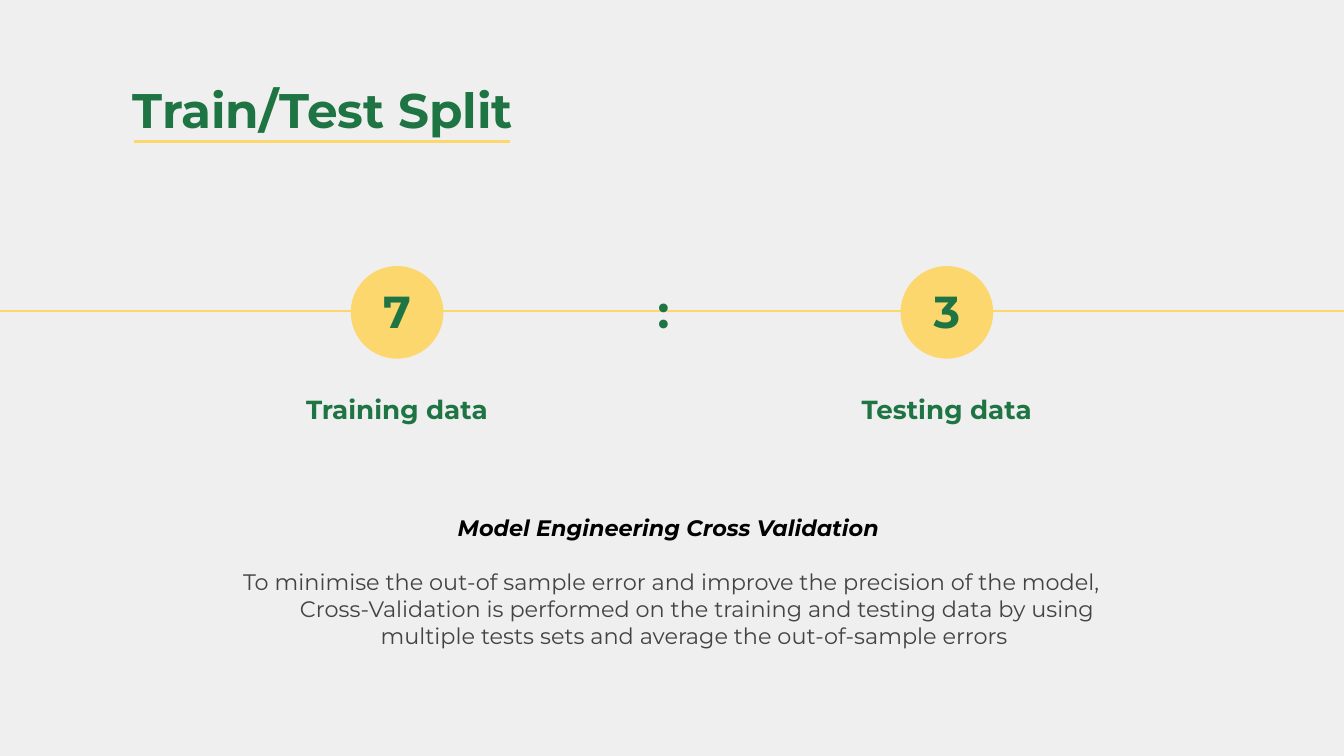
from collections import namedtuple

from lxml.etree import SubElement
from pptx import Presentation
from pptx.dml.color import RGBColor
from pptx.enum.shapes import MSO_CONNECTOR, MSO_SHAPE
from pptx.enum.text import MSO_ANCHOR, PP_ALIGN
from pptx.oxml.ns import qn
from pptx.util import Cm, Pt

GREEN = RGBColor(0x1F, 0x74, 0x44)
YELLOW = RGBColor(0xFB, 0xD7, 0x6D)
GREY = RGBColor(0x43, 0x43, 0x43)
BLACK = RGBColor(0, 0, 0)
BACKGROUND = RGBColor(0xEF, 0xEF, 0xEF)

Box = namedtuple("Box", "left top width height")

TITLE = {"size": Pt(26), "bold": True, "color": GREEN}
LABEL = {"size": Pt(14), "bold": True, "color": GREEN}
NUMBER = {"size": Pt(24), "bold": True, "color": GREEN}
HEADING = {"size": Pt(12), "bold": True, "italic": True, "color": BLACK}
BODY = {"size": Pt(12), "bold": False, "italic": False, "color": GREY}


def format_font(font, values):
    """Set the font attributes and colour from a dict."""
    font.name = "Montserrat"
    for name, value in values.items():
        if name == "color":
            font.color.rgb = value
        else:
            setattr(font, name, value)


def add_text(slide, box, lines, align=PP_ALIGN.CENTER, anchor=MSO_ANCHOR.TOP):
    """Add a text box with one paragraph for each (text, format) pair."""
    shape = slide.shapes.add_textbox(*map(Cm, box))
    frame = shape.text_frame
    frame.word_wrap = True
    frame.vertical_anchor = anchor
    for side in ("left", "top", "right", "bottom"):
        setattr(frame, f"margin_{side}", Cm(0.25))
    for index, (text, values) in enumerate(lines):
        paragraph = frame.add_paragraph() if index else frame.paragraphs[0]
        paragraph.alignment = align
        run = paragraph.add_run()
        run.text = text
        format_font(run.font, values)
    return frame


def add_line(slide, left, right, top):
    """Add a horizontal yellow line."""
    line = slide.shapes.add_connector(
        MSO_CONNECTOR.STRAIGHT, Cm(left), Cm(top), Cm(right), Cm(top)
    )
    line.line.color.rgb = YELLOW
    line.line.width = Pt(1.5)
    SubElement(line._element.spPr, qn("a:effectLst"))


def add_title(slide, box, text):
    """Place the title and its underline."""
    add_text(slide, box, [(text, TITLE)], PP_ALIGN.LEFT)
    add_line(slide, box.left + 0.28, box.left + 7.37, box.top + 1.4)


def add_number(slide, center, middle, text):
    """Place a large figure around a centre point."""
    width, height = 4.7, 1.4
    box = Box(center - width / 2, middle - height / 2, width, height)
    add_text(slide, box, [(text, NUMBER)], anchor=MSO_ANCHOR.MIDDLE)


def add_share(slide, box, number, label):
    """Place a numbered circle above its label."""
    diameter, label_height = 1.75, 1.6
    center = box.left + box.width / 2
    circle = slide.shapes.add_shape(
        MSO_SHAPE.OVAL, Cm(center - diameter / 2), Cm(box.top), Cm(diameter), Cm(diameter)
    )
    circle.shadow.inherit = False
    circle.fill.solid()
    circle.fill.fore_color.rgb = YELLOW
    circle.line.fill.background()
    add_number(slide, center, box.top + 0.85, number)
    label_top = box.top + box.height - label_height
    add_text(slide, Box(box.left, label_top, box.width, label_height), [(label, LABEL)])


def add_ratio(slide, box):
    """Place the line, both shares and the colon between them."""
    middle = box.top + 0.85
    add_line(slide, box.left, box.left + box.width, middle)
    shares = [("7", "Training data"), ("3", "Testing data")]
    for index, (number, label) in enumerate(shares):
        share_box = Box(box.left + 4.27 + index * 10.39, box.top, 6.93, box.height)
        add_share(slide, share_box, number, label)
    add_number(slide, box.left + 12.77, middle, ":")


def add_explanation(slide, box, heading, body):
    """Place the heading and body with a hanging indent."""
    frame = add_text(slide, box, [(heading, HEADING), (body, BODY)])
    for paragraph in frame.paragraphs:
        properties = paragraph._p.get_or_add_pPr()
        properties.set("marL", str(Cm(1.27)))
        properties.set("indent", str(Cm(-0.97)))
    frame.paragraphs[1].space_before = Pt(14.6)


def main():
    """Build and save the slide."""
    presentation = Presentation()
    presentation.slide_width = Cm(25.4)
    presentation.slide_height = Cm(14.29)
    slide = presentation.slides.add_slide(presentation.slide_layouts[6])
    slide.background.fill.solid()
    slide.background.fill.fore_color.rgb = BACKGROUND
    add_title(slide, Box(2.26, 1.27, 20.85, 1.6), "Train/Test Split")
    add_ratio(slide, Box(-0.23, 5.03, 25.86, 3.76))
    add_explanation(
        slide,
        Box(3.78, 9.47, 17.53, 2.21),
        "Model Engineering Cross Validation ",
        "To minimise the out-of sample error and improve the precision of the model, "
        "Cross-Validation is performed on the training and testing data by using "
        "multiple tests sets and average the out-of-sample errors ",
    )
    presentation.save("out.pptx")


if __name__ == "__main__":
    main()
